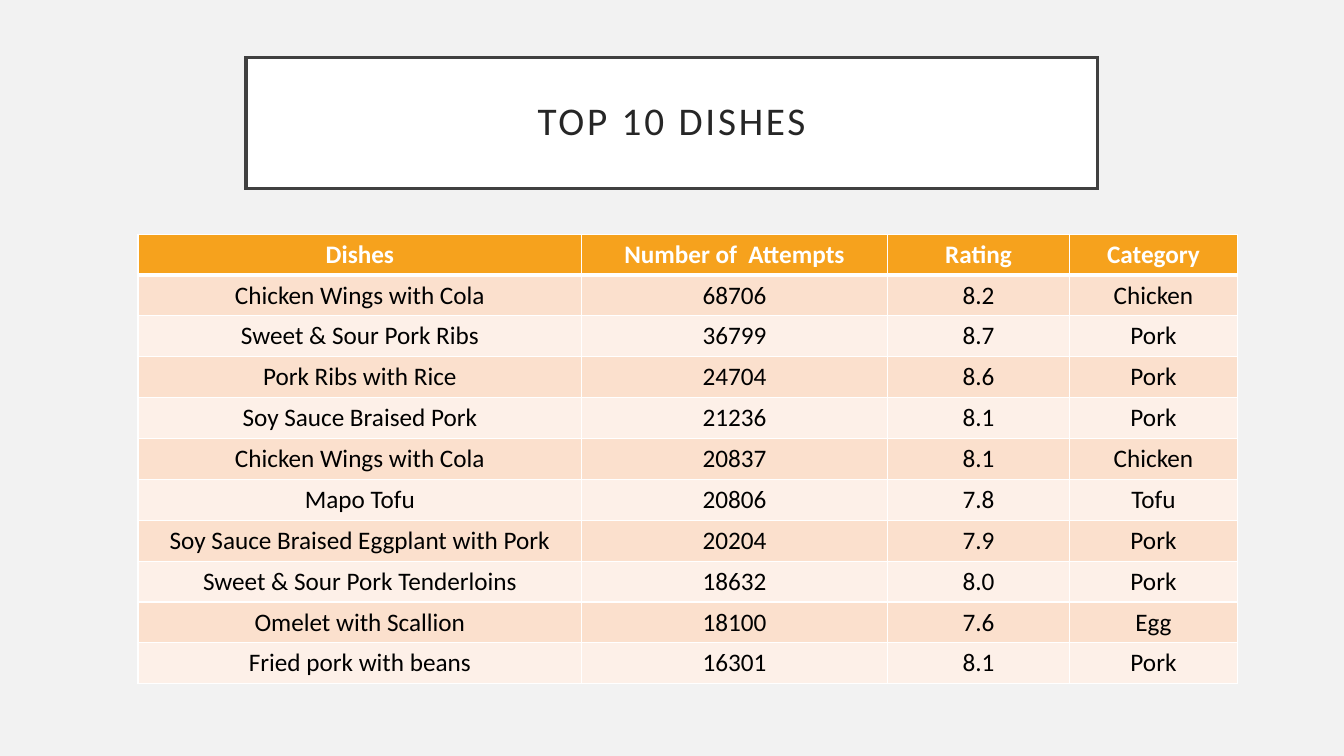
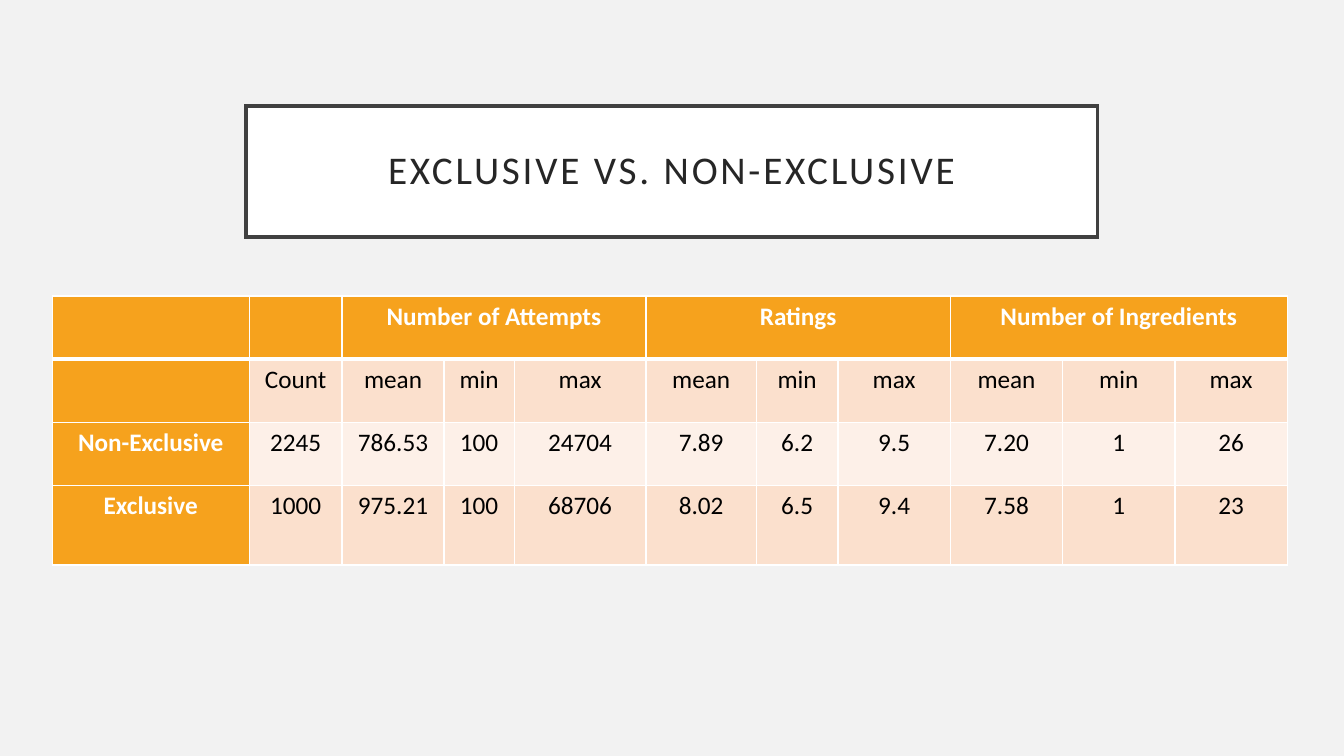
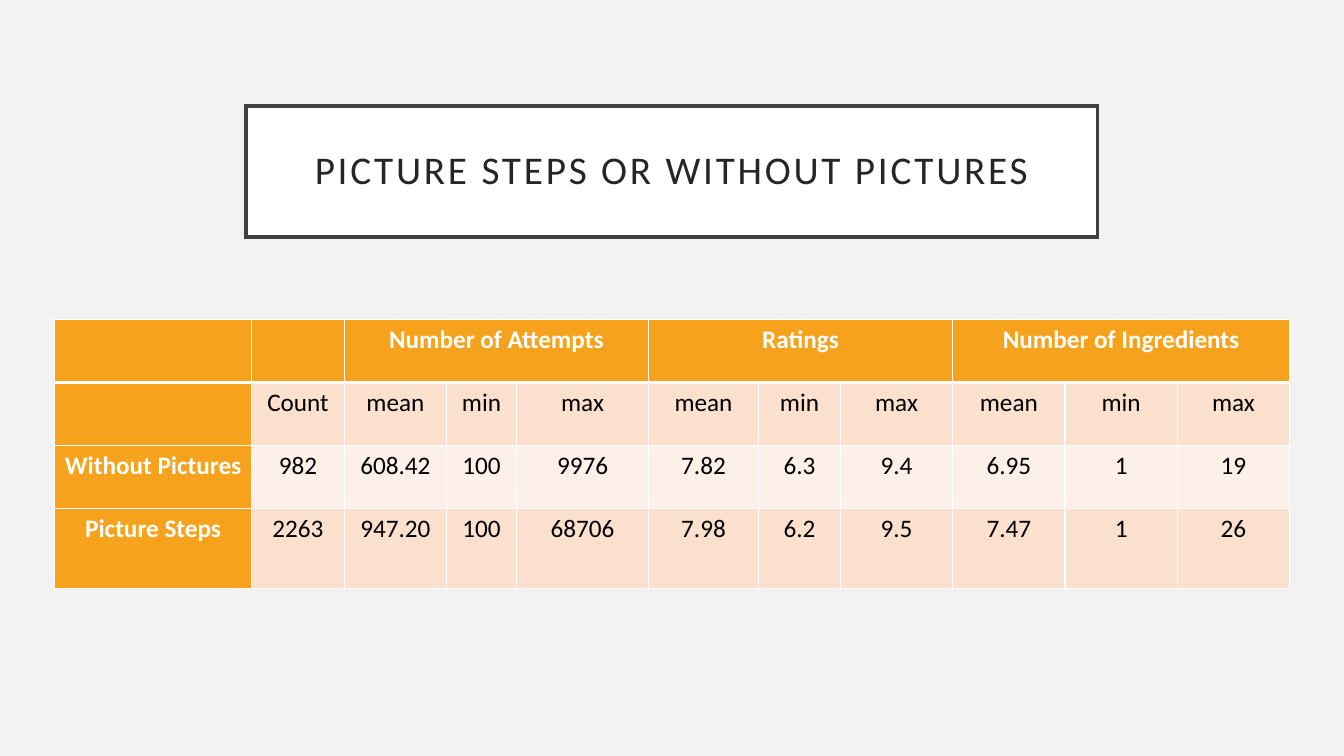
from lxml.etree import SubElement
from pptx import Presentation
from pptx.dml.color import RGBColor
from pptx.enum.text import MSO_ANCHOR, MSO_AUTO_SIZE, PP_ALIGN
from pptx.oxml.ns import qn
from pptx.util import Cm, Pt

FONT = "Calibri"
BACKGROUND, WHITE, BLACK = "F2F2F2", "FFFFFF", "000000"
FRAME, TITLE_TEXT = "404040", "262626"
ORANGE, PEACH, CREAM = "F6A21D", "FBE0CD", "FDF0E8"

DISH_COLS = [11.18, 7.7, 4.6, 4.22]
DISHES = [
    ["Dishes", "Number of  Attempts", "Rating", "Category"],
    ["Chicken Wings with Cola", "68706", "8.2", "Chicken"],
    ["Sweet & Sour Pork Ribs", "36799", "8.7", "Pork"],
    ["Pork Ribs with Rice", "24704", "8.6", "Pork"],
    ["Soy Sauce Braised Pork", "21236", "8.1", "Pork"],
    ["Chicken Wings with Cola", "20837", "8.1", "Chicken"],
    ["Mapo Tofu", "20806", "7.8", "Tofu"],
    ["Soy Sauce Braised Eggplant with Pork", "20204", "7.9", "Pork"],
    ["Sweet & Sour Pork Tenderloins", "18632", "8.0", "Pork"],
    ["Omelet with Scallion", "18100", "7.6", "Egg"],
    ["Fried pork with beans", "16301", "8.1", "Pork"],
]

STAT_COLS = [4.96, 2.34, 2.57, 1.77, 3.32, 2.78, 2.06] + [2.83] * 4
STAT_ROWS = [1.59, 1.59, 1.59, 2.01]
STAT_HEAD = [
    ["", "", "Number of Attempts", "", "", "Ratings", "", "",
     "Number of Ingredients", "", ""],
    ["", "Count"] + ["mean", "min", "max"] * 3,
]
EXCLUSIVE = [
    ["Non-Exclusive", "2245", "786.53", "100", "24704",
     "7.89", "6.2", "9.5", "7.20", "1", "26"],
    ["Exclusive", "1000", "975.21", "100", "68706",
     "8.02", "6.5", "9.4", "7.58", "1", "23"],
]
PICTURES = [
    ["Without Pictures", "982", "608.42", "100", "9976",
     "7.82", "6.3", "9.4", "6.95", "1", "19"],
    ["Picture Steps", "2263", "947.20", "100", "68706",
     "7.98", "6.2", "9.5", "7.47", "1", "26"],
]


def rgb(color):
    """Turn a hex string into a colour."""
    return RGBColor.from_string(color)


def paint(fill, color):
    """Make a fill solid in the given colour."""
    fill.solid()
    fill.fore_color.rgb = rgb(color)


def style_paragraph(p, size, color, bold=False):
    """Centre a paragraph and set its font."""
    p.alignment = PP_ALIGN.CENTER
    p.font.name = FONT
    p.font.size = Pt(size)
    p.font.bold = bold
    p.font.color.rgb = rgb(color)


def add_titled_slide(prs, text, top):
    """Add a slide with a framed title."""
    slide = prs.slides.add_slide(prs.slide_layouts[5])
    sp = slide.shapes.title
    sp.left, sp.top, sp.width, sp.height = Cm(6.2), Cm(top), Cm(21.46), Cm(3.3)
    paint(sp.fill, WHITE)
    sp.line.color.rgb = rgb(FRAME)
    sp.line.width = Pt(2.5)
    SubElement(sp._element.spPr.find(qn("a:ln")), qn("a:miter"), lim="800000")
    tf = sp.text_frame
    tf.text = text
    tf.word_wrap = True
    tf.auto_size = MSO_AUTO_SIZE.NONE
    tf.vertical_anchor = MSO_ANCHOR.MIDDLE
    tf.margin_left = tf.margin_right = tf.margin_top = tf.margin_bottom = Cm(0.51)
    p = tf.paragraphs[0]
    style_paragraph(p, 28, TITLE_TEXT)
    p.line_spacing = 0.9
    p._p.pPr.find(qn("a:defRPr")).set("spc", "200")
    return slide


def add_borders(cell, top, bottom):
    """Draw white borders around a cell, with top and bottom widths in points."""
    tcPr = cell._tc.get_or_add_tcPr()
    for side, width in (("L", 1), ("R", 1), ("T", top), ("B", bottom)):
        ln = SubElement(tcPr, qn(f"a:ln{side}"), w=str(Pt(width)))
        fill = SubElement(ln, qn("a:solidFill"))
        SubElement(fill, qn("a:srgbClr"), val=WHITE)


def style_cell(cell, text, row, is_header):
    """Fill, border and label one table cell."""
    add_borders(cell, 3 if row == 1 else 1, 3 if row == 0 else 1)
    paint(cell.fill, ORANGE if is_header else PEACH if row % 2 else CREAM)
    cell.margin_left = cell.margin_right = Cm(0.19)
    cell.text = text
    style_paragraph(cell.text_frame.paragraphs[0], 18,
                    WHITE if is_header else BLACK, is_header)


def add_grid(slide, left, top, cols, heights, rows, header_col=False):
    """Add a banded table with a header row and return it."""
    table = slide.shapes.add_table(
        len(rows), len(cols), Cm(left), Cm(top),
        Cm(sum(cols)), Cm(sum(heights))).table
    table.first_col = header_col
    for column, width in zip(table.columns, cols):
        column.width = Cm(width)
    for r, (height, values) in enumerate(zip(heights, rows)):
        table.rows[r].height = Cm(height)
        for c, text in enumerate(values):
            style_cell(table.cell(r, c), text, r,
                       r == 0 or (header_col and c == 0))
    return table


def add_stats_slide(prs, title, left, top, rows):
    """Add a slide that compares two groups of recipes."""
    slide = add_titled_slide(prs, title, 2.67)
    table = add_grid(slide, left, top, STAT_COLS, STAT_ROWS,
                     STAT_HEAD + rows, header_col=True)
    for c in range(2, len(STAT_COLS), 3):
        table.cell(0, c).merge(table.cell(0, c + 2))


def main():
    """Build and save the presentation."""
    prs = Presentation()
    prs.slide_width, prs.slide_height = Cm(33.87), Cm(19.05)
    paint(prs.slide_master.background.fill, BACKGROUND)
    slide = add_titled_slide(prs, "TOP 10 DISHES", 1.45)
    add_grid(slide, 3.48, 5.9, DISH_COLS, [1.03] * len(DISHES), DISHES)
    add_stats_slide(prs, "EXCLUSIVE VS. NON-EXCLUSIVE", 1.32, 7.46, EXCLUSIVE)
    add_stats_slide(prs, "PICTURE STEPS OR WITHOUT PICTURES", 1.38, 8.05, PICTURES)
    prs.save("out.pptx")


main()
